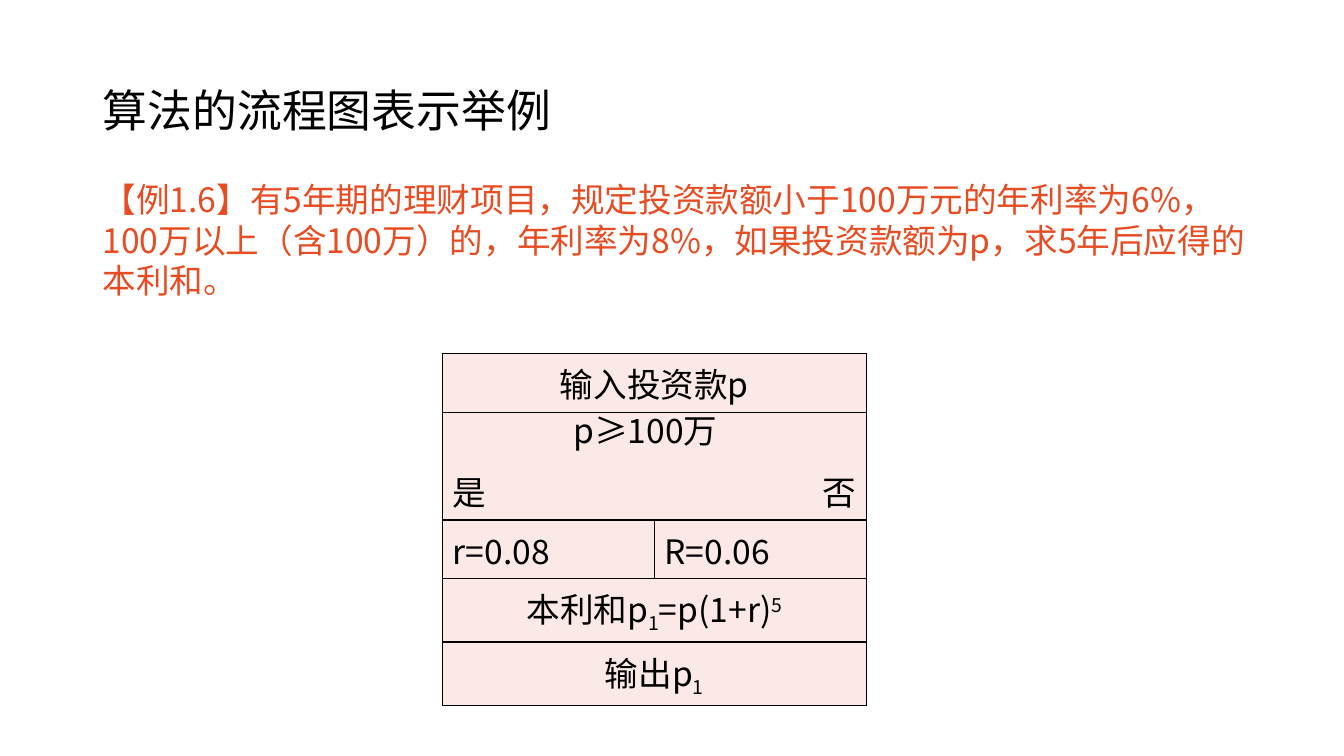
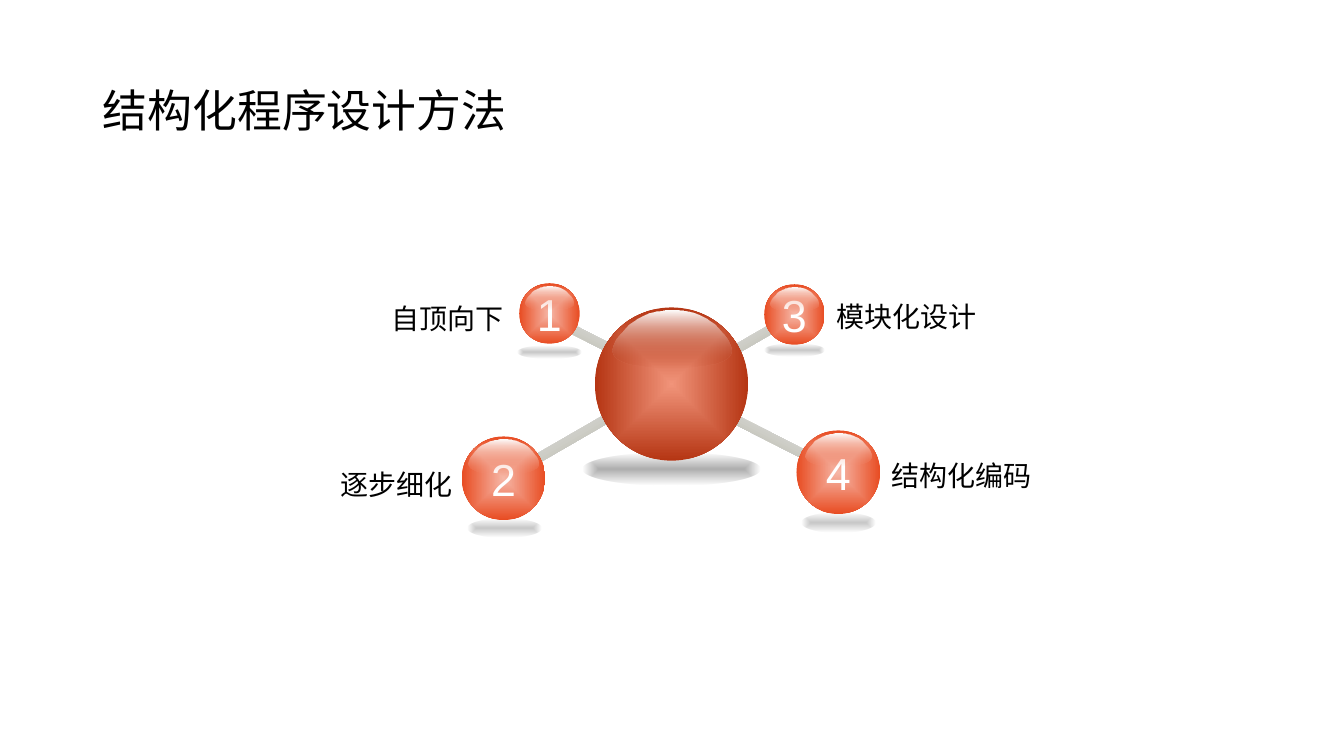
from dataclasses import dataclass

from pptx import Presentation
from pptx import util as u
from pptx.dml.color import RGBColor
from pptx.enum import shapes, text
from pptx.oxml import parse_xml
from pptx.oxml.ns import nsdecls, qn

inch = u.Inches
LEFT, CENTER, RIGHT = text.PP_ALIGN.LEFT, text.PP_ALIGN.CENTER, text.PP_ALIGN.RIGHT


@dataclass(frozen=True)
class Theme:
    font: str = "Noto Sans CJK SC"
    digit_font: str = "Arial"
    ink: str = "000000"
    accent: str = "E84C22"
    pale: str = "FBE9E8"
    white: str = "FFFFFF"
    title_size: int = 32
    text_size: int = 24
    label_size: int = 20
    # gradient stops: position %, colour, opacity %
    rod: tuple = ((0, "EEEEEC", 100), (100, "ABAB9F", 100))
    ball: tuple = ((0, "F6B7A7", 100), (100, "E84C22", 100))
    hub: tuple = ((0, "F1947A", 100), (100, "B53513", 100))
    ball_gloss: tuple = ((0, "FFFFFF", 100), (100, "F1947A", 0))
    hub_gloss: tuple = ((0, "FFFFFF", 100), (100, "B53513", 0))
    ball_shadow: tuple = ((0, "000000", 22), (97, "000000", 0))
    hub_shadow: tuple = ((0, "000000", 32), (97, "000000", 0))


T = Theme()

FLOW_TITLE = "算法的流程图表示举例"
EXAMPLE = ("【例1.6】有5年期的理财项目，规定投资款额小于100万元的年利率为6%，"
           "100万以上（含100万）的，年利率为8%，如果投资款额为p，求5年后应得的本利和。")
CONDITION = "p≥100万"
# Each row: height, then one cell (spanning both columns) or two.
# Each cell: alignment, then text pieces with their baseline shift in %.
FLOW_ROWS = [
    (0.58, [(CENTER, [("输入投资款p", 0)])]),
    (1.07, [(LEFT, [("是", 0)]), (RIGHT, [("否", 0)])]),
    (0.58, [(LEFT, [("r=0.08", 0)]), (LEFT, [("R=0.06", 0)])]),
    (0.63, [(CENTER, [("本利和p", 0), ("1", -25), ("=p(1+r)", 0), ("5", 30)])]),
    (0.63, [(CENTER, [("输出p", 0), ("1", -25)])]),
]
BRANCH_ROW = 1

METHOD_TITLE = "结构化程序设计方法"
# ball: left, top, diameter; shadow: left, top, width, height
# rod: left, top, length, angle; label: left, top, width
METHODS = [
    dict(number="1", name="自顶向下", ball=(5.15, 2.81, 0.6), gloss=0.48, align=RIGHT,
         shadow=(5.13, 3.43, 0.64, 0.13), rod=(5.5, 3.36, 0.9, 27), label=(2.35, 2.45, 2.74)),
    dict(number="2", name="逐步细化", ball=(4.58, 4.33, 0.83), gloss=0.7, align=RIGHT,
         shadow=(4.64, 5.15, 0.73, 0.18), rod=(5.12, 4.3, 1.13, 330), label=(2.35, 4.1, 2.24)),
    dict(number="3", name="模块化设计", ball=(7.58, 2.82, 0.6), gloss=0.48, align=LEFT,
         shadow=(7.58, 3.41, 0.6, 0.13), rod=(6.92, 3.38, 0.9, 330), label=(8.2, 2.43, 2.62)),
    dict(number="4", name="结构化编码", ball=(7.9, 4.27, 0.83), gloss=0.66, align=LEFT,
         shadow=(7.95, 5.09, 0.73, 0.19), rod=(7.13, 4.27, 0.93, 27), label=(8.74, 4.01, 2.08)),
]
HUB = dict(ball=(5.9, 3.05, 1.52), gloss=1.18, shadow=(5.78, 4.49, 1.76, 0.33))
ROD_HEIGHT, LABEL_HEIGHT = 0.09, 1.31
# Left half of the highlight, from top centre to bottom, as shares of its box
GLOSS_HALF = [(0.5, 0), (0.44, 0), (0.37, 0.02), (0.31, 0.05), (0.25, 0.11), (0.2, 0.16),
              (0.15, 0.23), (0.11, 0.32), (0.07, 0.41), (0.03, 0.52), (0.01, 0.62), (0, 0.7),
              (0.01, 0.77), (0.03, 0.82), (0.08, 0.88), (0.14, 0.93), (0.22, 0.96), (0.36, 1)]
GLOSS_RATIO, GLOSS_DROP = 0.48, 0.03


def style(run, size, color=T.ink, font=T.font):
    run.font.size = u.Pt(size)
    run.font.color.rgb = RGBColor.from_string(color)
    run.font.name = font
    run.font._element.append(parse_xml(f'<a:ea {nsdecls("a")} typeface="{font}"/>'))


def add_text(slide, words, box, size, color=T.ink, align=LEFT, spacing=1.0,
             anchor=text.MSO_ANCHOR.TOP, wrap=True):
    frame = slide.shapes.add_textbox(*map(inch, box)).text_frame
    frame.word_wrap = wrap
    frame.vertical_anchor = anchor
    frame.text = words
    line = frame.paragraphs[0]
    line.alignment, line.line_spacing = align, spacing
    style(line.runs[0], size, color)


def titled_slide(deck, words):
    slide = deck.slides.add_slide(deck.slide_layouts[5])
    title = slide.shapes.title
    title.left, title.top, title.width, title.height = map(inch, (0.92, 0.4, 11.5, 1.45))
    title.text_frame.text = words
    title.text_frame.vertical_anchor = text.MSO_ANCHOR.MIDDLE
    line = title.text_frame.paragraphs[0]
    line.alignment, line.line_spacing = LEFT, 0.9
    style(line.runs[0], T.title_size)
    return slide


def border(cell, hidden=()):
    """Draw a 1 pt line on each side of the cell except the hidden ones."""
    props = cell._tc.get_or_add_tcPr()
    for place, side in enumerate("LRTB"):
        paint = ("<a:noFill/>" if side in hidden else
                 f'<a:solidFill><a:srgbClr val="{T.ink}"/></a:solidFill>')
        props.insert(place, parse_xml(
            f'<a:ln{side} {nsdecls("a")} w="12700">{paint}</a:ln{side}>'))


def paint_gradient(shape, stops, radial=True):
    shape.shadow.inherit = False
    shape.line.fill.background()
    shape.fill.gradient()
    marks = "".join(
        f'<a:gs pos="{pos * 1000}"><a:srgbClr val="{color}">'
        f'<a:alpha val="{opacity * 1000}"/></a:srgbClr></a:gs>'
        for pos, color, opacity in stops)
    course = ('<a:path path="shape"><a:fillToRect l="50000" t="50000" r="50000" b="50000"/>'
              '</a:path>' if radial else '<a:lin ang="5400000" scaled="1"/>')
    props = shape._element.spPr
    props.replace(props.find(qn("a:gradFill")), parse_xml(
        f'<a:gradFill {nsdecls("a")} rotWithShape="1"><a:gsLst>{marks}</a:gsLst>'
        f'{course}</a:gradFill>'))


def add_ellipse(slide, box, stops):
    ellipse = slide.shapes.add_shape(shapes.MSO_SHAPE.OVAL, *map(inch, box))
    paint_gradient(ellipse, stops)
    return ellipse


def add_rod(slide, left, top, length, angle):
    rod = slide.shapes.add_shape(shapes.MSO_SHAPE.ROUNDED_RECTANGLE,
                                 *map(inch, (left, top, length, ROD_HEIGHT)))
    rod.adjustments[0] = 0.45
    rod.rotation = angle
    paint_gradient(rod, T.rod, radial=False)


def add_ball(slide, ball, gloss, stops, gloss_stops, number=None):
    """Draw a sphere, its number and the highlight over both."""
    left, top, size = ball
    sphere = add_ellipse(slide, (left, top, size, size), stops)
    if number:
        frame = sphere.text_frame
        frame.margin_left = frame.margin_right = frame.margin_top = frame.margin_bottom = 0
        frame.vertical_anchor = text.MSO_ANCHOR.MIDDLE
        frame.text = number
        frame.paragraphs[0].alignment = CENTER
        style(frame.paragraphs[0].runs[0], T.title_size, T.white, T.digit_font)

    outline = GLOSS_HALF + [(1 - x, y) for x, y in reversed(GLOSS_HALF[1:])]
    gloss_left, gloss_top = left + (size - gloss) / 2, top + GLOSS_DROP
    points = [(inch(gloss_left + x * gloss), inch(gloss_top + y * gloss * GLOSS_RATIO))
              for x, y in outline]
    builder = slide.shapes.build_freeform(*points[0])
    builder.add_line_segments(points[1:], close=True)
    paint_gradient(builder.convert_to_shape(), gloss_stops, radial=False)


def flowchart_slide(deck):
    slide = titled_slide(deck, FLOW_TITLE)
    add_text(slide, EXAMPLE, (0.92, 1.73, 11.65, 1.55), T.text_size, T.accent)

    height = sum(row_height for row_height, _ in FLOW_ROWS)
    frame = slide.shapes.add_table(len(FLOW_ROWS), 2, *map(inch, (4.39, 3.51, 4.2, height)))
    chart = frame.table
    chart.first_row = chart.horz_banding = False
    for r, (row_height, cells) in enumerate(FLOW_ROWS):
        chart.rows[r].height = inch(row_height)
        for c in range(2):
            cell = chart.cell(r, c)
            cell.fill.solid()
            cell.fill.fore_color.rgb = RGBColor.from_string(T.pale)
            border(cell, hidden="RL"[c] if r == BRANCH_ROW else "")
        if len(cells) == 1:
            chart.cell(r, 0).merge(chart.cell(r, 1))
        for c, (align, pieces) in enumerate(cells):
            cell = chart.cell(r, c)
            if r == BRANCH_ROW:
                cell.vertical_anchor = text.MSO_ANCHOR.BOTTOM
            line = cell.text_frame.paragraphs[0]
            line.alignment = align
            for words, shift in pieces:
                run = line.add_run()
                run.text = words
                style(run, T.text_size)
                if shift:
                    run.font._element.set("baseline", str(shift * 1000))
    add_text(slide, CONDITION, (5.59, 4.02, 1.77, 0.5), T.text_size, wrap=False)


def methods_slide(deck):
    slide = titled_slide(deck, METHOD_TITLE)
    for method in METHODS:
        add_rod(slide, *method["rod"])
    add_ellipse(slide, HUB["shadow"], T.hub_shadow)
    for method in METHODS:
        add_ellipse(slide, method["shadow"], T.ball_shadow)
        add_ball(slide, method["ball"], method["gloss"], T.ball, T.ball_gloss, method["number"])
        add_text(slide, method["name"], (*method["label"], LABEL_HEIGHT), T.label_size,
                 align=method["align"], spacing=1.3, anchor=text.MSO_ANCHOR.MIDDLE)
    add_ball(slide, HUB["ball"], HUB["gloss"], T.hub, T.hub_gloss)


def main():
    deck = Presentation()
    deck.slide_width, deck.slide_height = inch(13.33), inch(7.5)
    flowchart_slide(deck)
    methods_slide(deck)
    deck.save("out.pptx")


if __name__ == "__main__":
    main()
